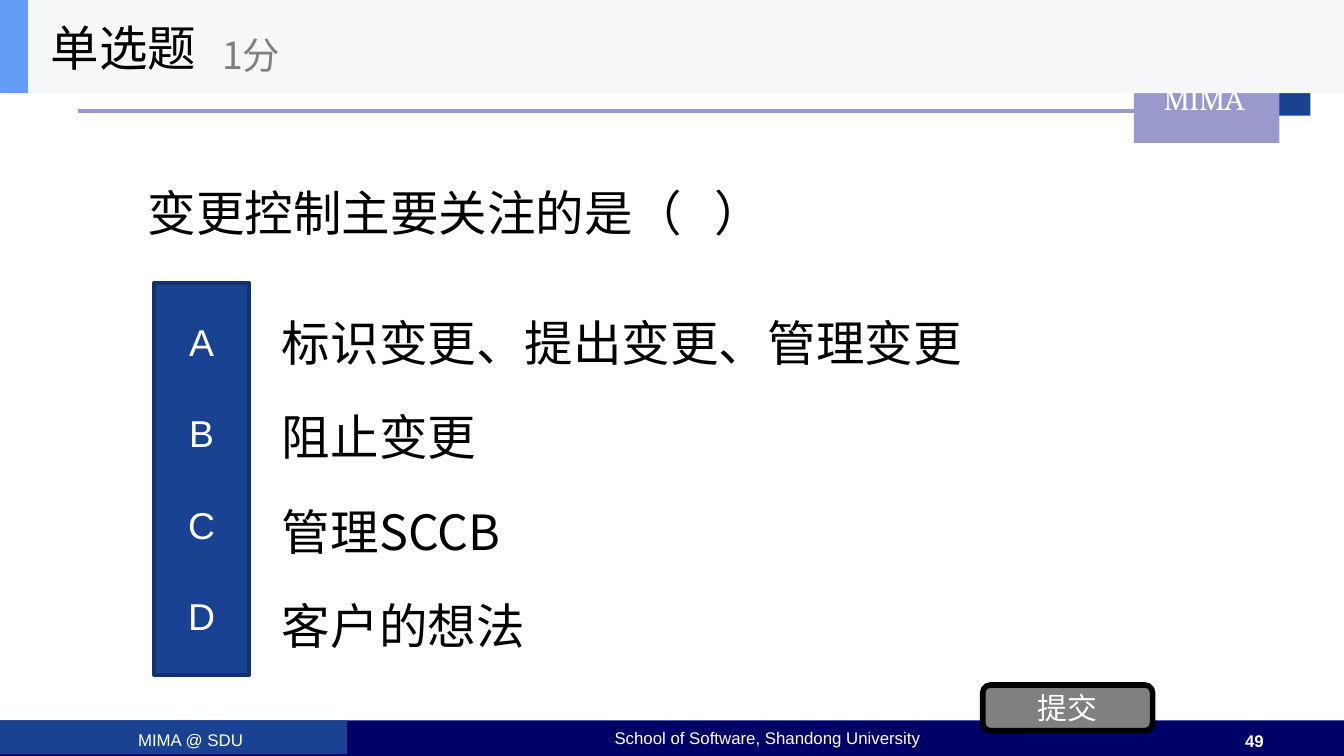
from pptx import Presentation
from pptx.dml.color import RGBColor
from pptx.enum.shapes import MSO_CONNECTOR, MSO_SHAPE
from pptx.enum.text import MSO_ANCHOR as ANCHOR, PP_ALIGN as ALIGN
from pptx.oxml.ns import qn
from pptx.util import Pt
from lxml.etree import SubElement

WHITE = RGBColor(0xFF, 0xFF, 0xFF)
BLACK = RGBColor(0x00, 0x00, 0x00)
GRAY = RGBColor(0x80, 0x80, 0x80)
PALE = RGBColor(0xF6, 0xF7, 0xF8)
SKY = RGBColor(0x63, 0x9E, 0xF4)
BLUE = RGBColor(0x19, 0x42, 0x93)
DARK_BLUE = RGBColor(0x12, 0x31, 0x6D)
NAVY = RGBColor(0x00, 0x00, 0x66)
LILAC = RGBColor(0x99, 0x99, 0xCC)

LATIN, CJK, SERIF = "Arial", "Noto Sans CJK SC", "TeX Gyre Bonum"
WIDTH, HEIGHT = 720, 405


class QuizSlide:
    def __init__(self, prs):
        self.s = prs.slides.add_slide(prs.slide_layouts[6])

    def rule(self, x1, x2, y, color, weight):
        c = self.s.shapes.add_connector(
            MSO_CONNECTOR.STRAIGHT, Pt(x1), Pt(y), Pt(x2), Pt(y))
        c.line.color.rgb = color
        c.line.width = Pt(weight)
        SubElement(c._element.spPr, qn("a:effectLst"))

    def block(self, x, y, w, h, fill, line=None, weight=0,
              kind=MSO_SHAPE.RECTANGLE):
        sp = self.s.shapes.add_shape(kind, Pt(x), Pt(y), Pt(w), Pt(h))
        sp.shadow.inherit = False
        sp.fill.solid()
        sp.fill.fore_color.rgb = fill
        if line is None:
            sp.line.fill.background()
        else:
            sp.line.color.rgb = line
            sp.line.width = Pt(weight)
        return sp

    def set_text(self, sp, lines, size, color, font=CJK, bold=False,
                 align=ALIGN.LEFT, anchor=ANCHOR.MIDDLE, gap=0):
        """Fill a shape with paragraphs set gap points apart."""
        tf = sp.text_frame
        tf.word_wrap = True
        tf.vertical_anchor = anchor
        for i, line in enumerate(lines):
            p = tf.add_paragraph() if i else tf.paragraphs[0]
            p.text = line
            p.alignment = align
            if i:
                p.space_before = Pt(gap)
            f = p.font
            f.name, f.size, f.bold = font, Pt(size), bold
            f.color.rgb = color
            ea = SubElement(f._element, qn("a:ea"))
            ea.set("typeface", font)

    def label(self, x, y, w, h, text, size, color, **style):
        box = self.s.shapes.add_textbox(Pt(x), Pt(y), Pt(w), Pt(h))
        self.set_text(box, [text], size, color, **style)

    def caption(self, x, y, w, h, text, size=9, font=LATIN, bold=False):
        """White centred text of the slide frame."""
        self.label(x, y, w, h, text, size, WHITE, font=font, bold=bold,
                   align=ALIGN.CENTER, anchor=ANCHOR.TOP)


def main():
    prs = Presentation()
    prs.slide_width, prs.slide_height = Pt(WIDTH), Pt(HEIGHT)
    quiz = QuizSlide(prs)

    # Frame
    quiz.rule(42, 612, 59.5, LILAC, 2.25)
    quiz.block(0, 386, WIDTH, 19, NAVY)
    quiz.block(636, 14, 66, 48, BLUE)
    quiz.block(607.5, 22.5, 78, 54, LILAC)
    quiz.block(0, 386, 186, 18, BLUE)
    quiz.caption(600, 40.5, 90, 25, "MIMA", size=15, font=SERIF)
    quiz.caption(18, 387.5, 168, 10, "MIMA @ SDU")
    quiz.caption(207, 386.5, 408, 15, "School of Software, Shandong University")
    quiz.caption(655, 388, 34, 11, "49", bold=True)

    # Question and options
    quiz.label(72, 50, 576, 127, "变更控制主要关注的是（   ）", 26, BLACK)
    options = ["标识变更、提出变更、管理变更", "阻止变更", "管理SCCB", "客户的想法"]
    for i, option in enumerate(options):
        quiz.label(144, 164.2 + 50.6 * i, 504, 38, option, 26, BLACK)

    submit = quiz.block(526.5, 367, 91, 24.5, GRAY, BLACK, 3,
                        MSO_SHAPE.ROUNDED_RECTANGLE)
    quiz.set_text(submit, ["提交"], 16, WHITE, align=ALIGN.CENTER)
    letters = quiz.block(82.5, 151.5, 51, 210, BLUE, DARK_BLUE, 2)
    quiz.set_text(letters, "ABCD", 20, WHITE, font=LATIN,
                  align=ALIGN.CENTER, gap=25)

    # Heading
    quiz.block(0, 0, WIDTH, 50, PALE)
    quiz.block(0, 0, 15, 50, SKY)
    quiz.label(20, 0, 150, 50, "单选题", 26, BLACK)
    quiz.label(112, 9, 180, 40, "1分", 20, GRAY)

    prs.save("out.pptx")


if __name__ == "__main__":
    main()
